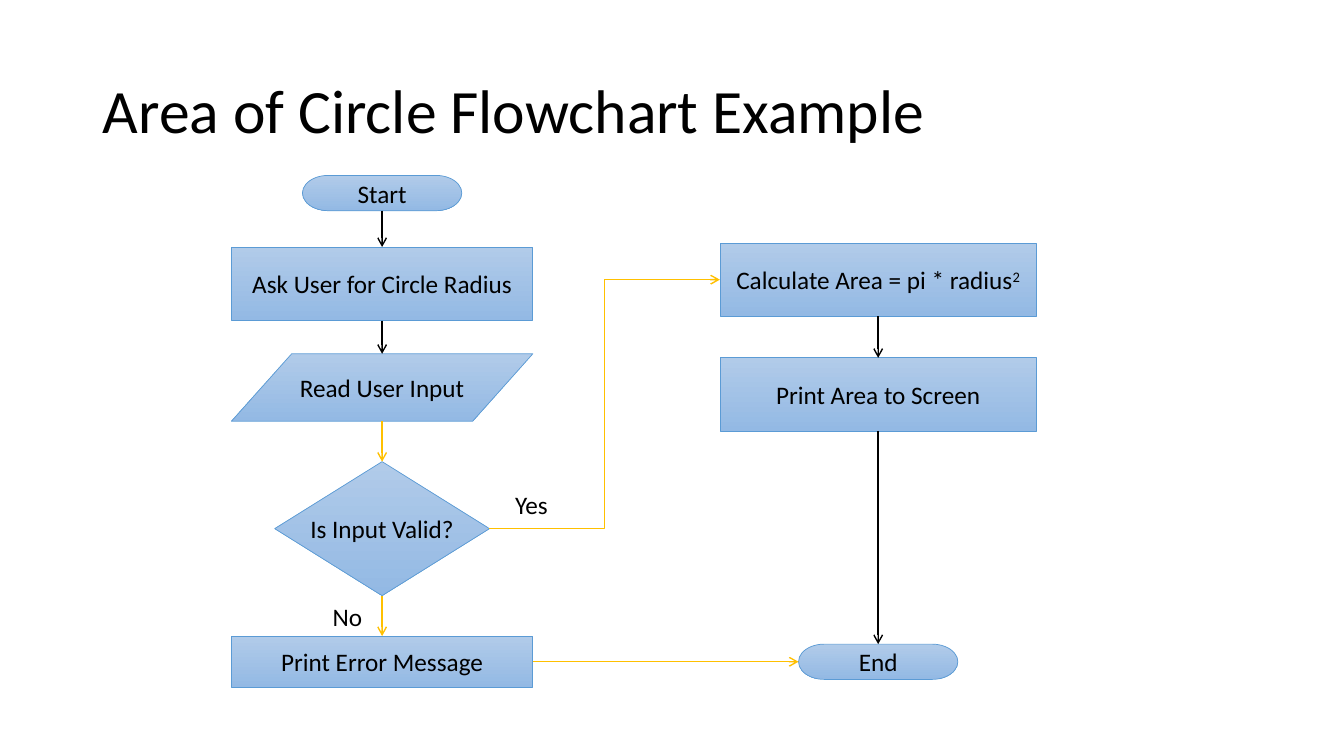
from dataclasses import dataclass

from lxml import etree
from pptx import Presentation
from pptx.dml.color import RGBColor
from pptx.enum.shapes import MSO_CONNECTOR, MSO_SHAPE
from pptx.enum.text import MSO_ANCHOR, MSO_AUTO_SIZE, PP_ALIGN
from pptx.oxml.ns import qn
from pptx.util import Inches, Pt

PROCESS = MSO_SHAPE.RECTANGLE
INPUT = MSO_SHAPE.FLOWCHART_DATA
TERMINAL = MSO_SHAPE.FLOWCHART_TERMINATOR
DECISION = MSO_SHAPE.FLOWCHART_DECISION
STRAIGHT, ELBOW = MSO_CONNECTOR.STRAIGHT, MSO_CONNECTOR.ELBOW
TOP, LEFT, BOTTOM, RIGHT = range(4)  # connection sites


@dataclass(frozen=True)
class Theme:
    """Colours, font and type sizes of the slide."""
    font: str = "Calibri"
    title_size: int = 44
    text_size: int = 18
    text: RGBColor = RGBColor(0x00, 0x00, 0x00)
    step_light: RGBColor = RGBColor(0xB1, 0xCB, 0xE9)
    step_dark: RGBColor = RGBColor(0x93, 0xB9, 0xE4)
    outline: RGBColor = RGBColor(0x5B, 0x9B, 0xD5)
    flow: RGBColor = RGBColor(0x00, 0x00, 0x00)
    branch: RGBColor = RGBColor(0xFF, 0xC0, 0x00)


THEME = Theme()
TITLE = "Area of Circle Flowchart Example"
INPUT_AXIS, RESULT_AXIS = 3.79, 8.71  # centre lines of the two columns

# key: (kind, centre x, top, width, height, text, superscript)
STEPS = {
    "start": (TERMINAL, INPUT_AXIS, 1.74, 1.58, 0.35, "Start", ""),
    "ask": (PROCESS, INPUT_AXIS, 2.45, 2.99, 0.73, "Ask User for Circle Radius", ""),
    "read": (INPUT, INPUT_AXIS, 3.51, 2.99, 0.67, "Read User Input", ""),
    "valid": (DECISION, INPUT_AXIS, 4.58, 2.13, 1.33, "Is Input Valid?", ""),
    "error": (PROCESS, INPUT_AXIS, 6.31, 2.99, 0.51, "Print Error Message", ""),
    "area": (PROCESS, RESULT_AXIS, 2.41, 3.14, 0.73, "Calculate Area = pi * radius", "2"),
    "print": (PROCESS, RESULT_AXIS, 3.55, 3.14, 0.73, "Print Area to Screen", ""),
    "end": (TERMINAL, RESULT_AXIS, 6.39, 1.58, 0.35, "End", ""),
}
ARROWS = [
    ("start", BOTTOM, "ask", TOP, STRAIGHT, THEME.flow),
    ("ask", BOTTOM, "read", TOP, STRAIGHT, THEME.flow),
    ("read", BOTTOM, "valid", TOP, STRAIGHT, THEME.branch),
    ("valid", BOTTOM, "error", TOP, STRAIGHT, THEME.branch),
    ("valid", RIGHT, "area", LEFT, ELBOW, THEME.branch),
    ("area", BOTTOM, "print", TOP, STRAIGHT, THEME.flow),
    ("print", BOTTOM, "end", TOP, STRAIGHT, THEME.flow),
    ("error", RIGHT, "end", LEFT, STRAIGHT, THEME.branch),
]
ANSWERS = [("No", 3.2, 5.92, 0.5, 0.4), ("Yes", 5.01, 4.81, 0.53, 0.4)]


def add_run(paragraph, text, size=THEME.text_size):
    """Add a run in the theme font and return it."""
    run = paragraph.add_run()
    run.text = text
    run.font.name, run.font.size = THEME.font, Pt(size)
    run.font.color.rgb = THEME.text
    return run


def add_title(slide):
    """Place and fill the title placeholder."""
    title = slide.shapes.title
    title.left, title.top = Inches(0.92), Inches(0.4)
    title.width, title.height = Inches(11.5), Inches(1.45)
    title.text_frame.vertical_anchor = MSO_ANCHOR.MIDDLE
    heading = title.text_frame.paragraphs[0]
    heading.alignment, heading.line_spacing = PP_ALIGN.LEFT, 0.9
    add_run(heading, TITLE, THEME.title_size)


def add_step(slide, kind, axis, top, width, height, text, superscript):
    """Draw one flowchart step centred on its column axis."""
    step = slide.shapes.add_shape(kind, Inches(axis - width / 2), Inches(top),
                                  Inches(width), Inches(height))
    step.shadow.inherit = False
    step.fill.gradient()
    step.fill.gradient_angle = 270
    for stop, color in zip(step.fill.gradient_stops, (THEME.step_light, THEME.step_dark)):
        stop.color.rgb = color
    step.line.color.rgb, step.line.width = THEME.outline, Pt(0.5)
    frame = step.text_frame
    frame.word_wrap, frame.vertical_anchor = False, MSO_ANCHOR.MIDDLE
    label = frame.paragraphs[0]
    label.alignment = PP_ALIGN.CENTER
    add_run(label, text)
    if superscript:
        power = add_run(label, superscript)
        power.font._element.set("baseline", "30000")
    return step


def site_point(step, site):
    """Return the middle of one side of a step."""
    center_x, center_y = step.left + step.width // 2, step.top + step.height // 2
    return {TOP: (center_x, step.top), LEFT: (step.left, center_y),
            BOTTOM: (center_x, step.top + step.height),
            RIGHT: (step.left + step.width, center_y)}[site]


def add_arrow(slide, source, source_site, target, target_site, route, color):
    """Join two steps with an open-headed arrow."""
    arrow = slide.shapes.add_connector(route, *site_point(source, source_site),
                                       *site_point(target, target_site))
    # The parallelogram numbers its connection sites differently.
    if source.auto_shape_type != INPUT:
        arrow.begin_connect(source, source_site)
    if target.auto_shape_type != INPUT:
        arrow.end_connect(target, target_site)
    arrow.line.color.rgb, arrow.line.width = color, Pt(1)
    etree.SubElement(arrow.line._get_or_add_ln(), qn("a:tailEnd"), type="arrow")
    etree.SubElement(arrow._element.spPr, qn("a:effectLst"))


def add_answer(slide, text, left, top, width, height):
    """Label one branch of the decision."""
    answer = slide.shapes.add_textbox(Inches(left), Inches(top), Inches(width), Inches(height))
    answer.text_frame.word_wrap = False
    answer.text_frame.auto_size = MSO_AUTO_SIZE.SHAPE_TO_FIT_TEXT
    add_run(answer.text_frame.paragraphs[0], text)


def main():
    """Build the slide and save it."""
    deck = Presentation()
    deck.slide_width, deck.slide_height = Inches(13.33), Inches(7.5)
    slide = deck.slides.add_slide(deck.slide_layouts.get_by_name("Title Only"))
    add_title(slide)
    steps = {key: add_step(slide, *step) for key, step in STEPS.items()}
    for source, source_site, target, target_site, route, color in ARROWS:
        add_arrow(slide, steps[source], source_site, steps[target], target_site, route, color)
    for answer in ANSWERS:
        add_answer(slide, *answer)
    deck.save("out.pptx")


main()
